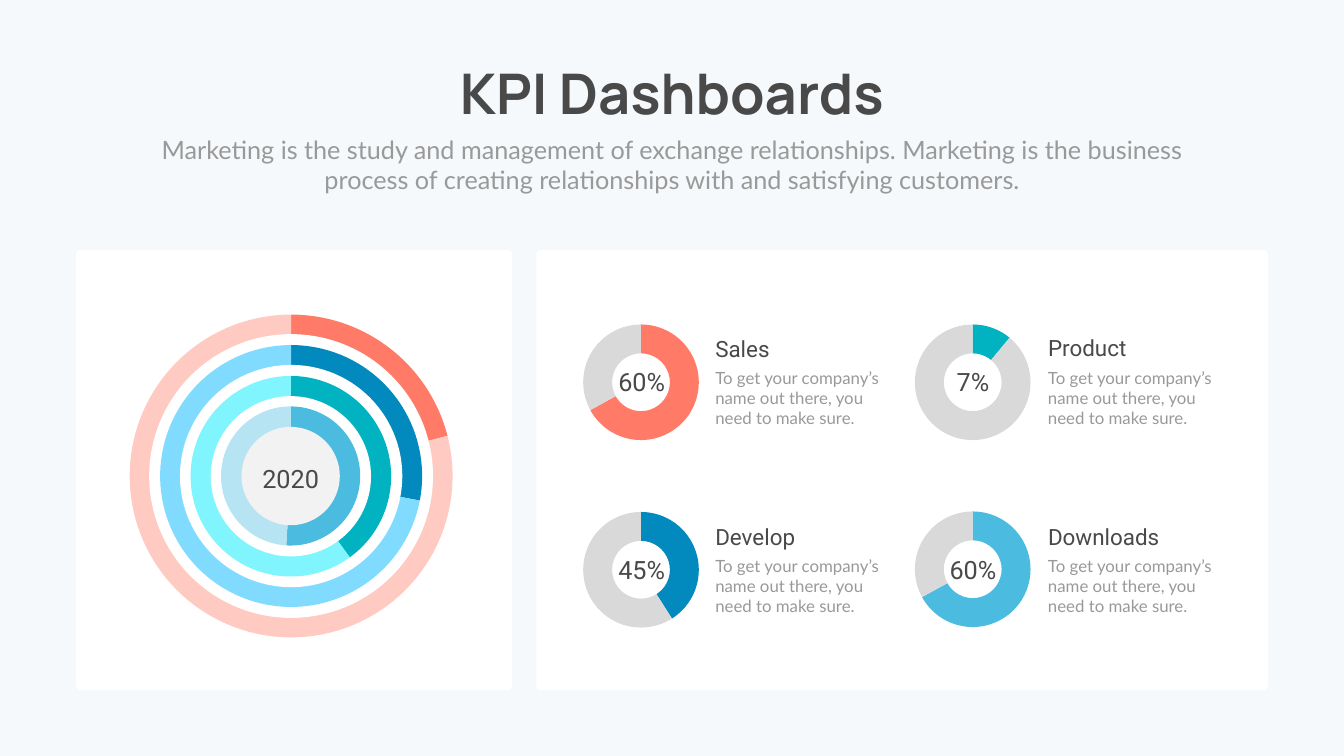
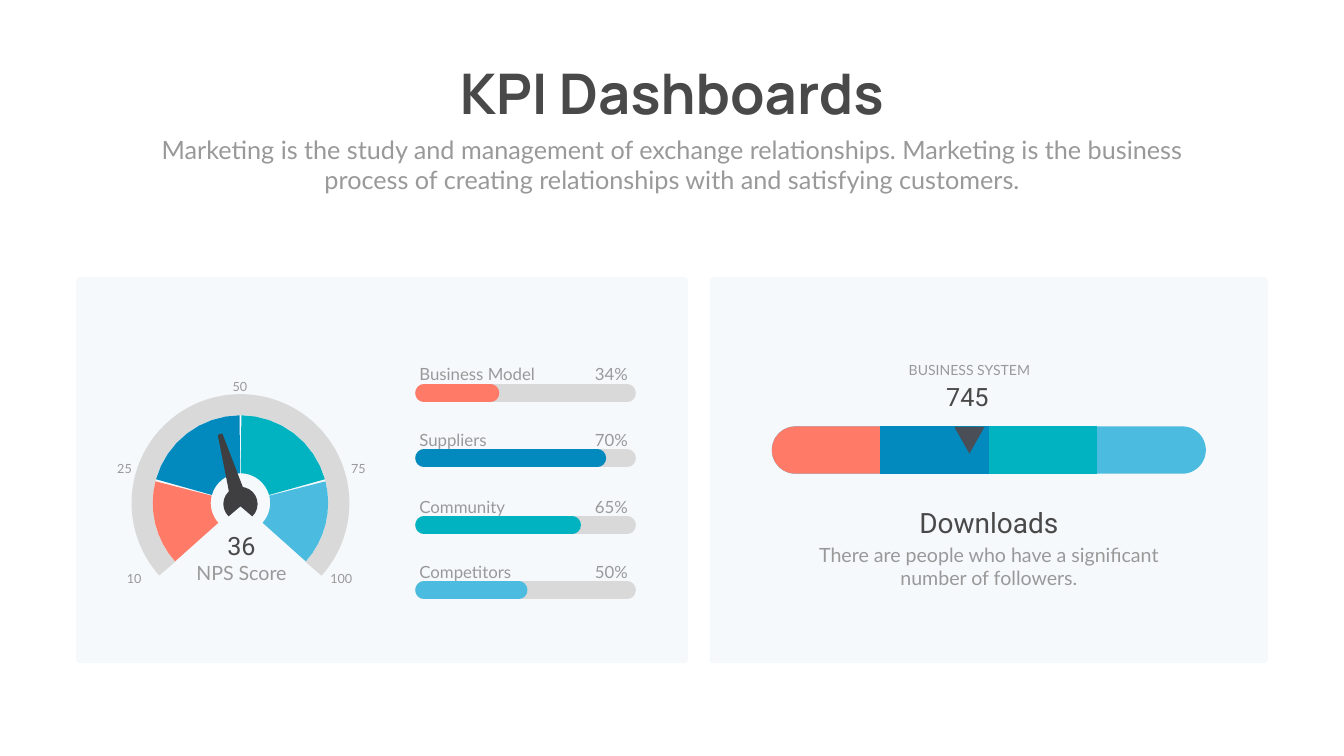
from math import cos, radians, sin

from lxml.etree import SubElement
from pptx import Presentation
from pptx.chart.data import CategoryChartData
from pptx.dml.color import RGBColor
from pptx.enum.chart import XL_CHART_TYPE
from pptx.enum.shapes import MSO_CONNECTOR, MSO_SHAPE
from pptx.enum.text import MSO_AUTO_SIZE, PP_ALIGN
from pptx.oxml import parse_xml
from pptx.oxml.ns import nsdecls, qn
from pptx.util import Inches, Pt

COLORS = {
    "dark": "494949", "muted": "999999", "mist": "F5F9FB", "white": "FFFFFF",
    "coral": "FF7A67", "blue": "0289BD", "teal": "01B2C0", "sky": "4BBBDF",
    "pale coral": "FFCAC2", "pale blue": "81DBFE", "pale teal": "81F5FE", "pale sky": "B7E4F2",
    "track": "D9D9D9", "core": "F2F2F2", "needle": "3F3E40", "marker": "4A4E57",
}
LEFT, CENTER, RIGHT = PP_ALIGN.LEFT, PP_ALIGN.CENTER, PP_ALIGN.RIGHT
LABEL_SPACING = Pt(40.8)
PIE_LAYOUT = (
    f'<c:layout {nsdecls("c")}><c:manualLayout><c:layoutTarget val="inner"/>'
    '<c:xMode val="edge"/><c:yMode val="edge"/><c:x val="0.005"/><c:y val="0.005"/>'
    '<c:w val="0.99"/><c:h val="0.99"/></c:manualLayout></c:layout>'
)


def paint(shape, color):
    shape.shadow.inherit = False
    shape.fill.solid()
    shape.fill.fore_color.rgb = RGBColor.from_string(COLORS[color])
    shape.line.fill.background()


def write(slide, text, left, top, width, height, size, font="Lato", color="muted",
          align=CENTER, spacing=None, bold=False, wrap=True):
    box = slide.shapes.add_textbox(Inches(left), Inches(top), Inches(width), Inches(height))
    frame = box.text_frame
    frame.word_wrap = wrap
    frame.auto_size = MSO_AUTO_SIZE.SHAPE_TO_FIT_TEXT
    paragraph = frame.paragraphs[0]
    paragraph.alignment = align
    if spacing:
        paragraph.line_spacing = spacing
    run = paragraph.add_run()
    run.text = text
    run.font.size = Pt(size)
    run.font.name = font
    run.font.bold = bold
    run.font.color.rgb = RGBColor.from_string(COLORS[color])


deck = Presentation()
deck.slide_width = Inches(26.66)
deck.slide_height = Inches(15)
blank = deck.slide_layouts[6]
rings = deck.slides.add_slide(blank)
gauges = deck.slides.add_slide(blank)

panels = [
    (rings, 0, 0, 26.66, 15, 0, "mist"),
    (rings, 10.64, 4.96, 14.51, 8.73, 0.01, "white"),
    (rings, 1.51, 4.96, 8.65, 8.73, 0.01, "white"),
    (gauges, 1.51, 5.5, 12.14, 7.66, 0.01, "mist"),
    (gauges, 14.08, 5.5, 11.07, 7.66, 0.01, "mist"),
    (gauges, 15.31, 8.46, 8.61, 0.94, 0.5, "sky"),
]
for slide, left, top, width, height, rounding, color in panels:
    panel = slide.shapes.add_shape(
        MSO_SHAPE.ROUNDED_RECTANGLE, Inches(left), Inches(top), Inches(width), Inches(height))
    panel.adjustments[0] = rounding
    paint(panel, color)

for slide in (rings, gauges):
    write(slide, "KPI Dashboards", 8.67, 1.12, 9.32, 1.45, 80, "Manrope", "dark", bold=True, wrap=False)
    write(slide, "Marketing is the study and management of exchange relationships. "
          "Marketing is the business process of creating relationships with and satisfying customers.",
          2.92, 2.61, 20.82, 1.31, 36)

PIE, DOUGHNUT = XL_CHART_TYPE.PIE, XL_CHART_TYPE.DOUGHNUT
charts = [
    (PIE, 2.54, 6.21, 6.47, 6.47, 21, "coral", "pale coral"),
    (PIE, 3.15, 6.82, 5.25, 5.25, 28, "blue", "pale blue"),
    (PIE, 3.76, 7.44, 4.02, 4.02, 40, "teal", "pale teal"),
    (PIE, 4.37, 8.05, 2.79, 2.79, 51, "sky", "pale sky"),
    (DOUGHNUT, 11.34, 6.3, 2.75, 2.57, 67, "coral", "track"),
    (DOUGHNUT, 11.34, 10.02, 2.75, 2.57, 41, "blue", "track"),
    (DOUGHNUT, 17.92, 6.3, 2.75, 2.57, 11, "teal", "track"),
    (DOUGHNUT, 17.92, 10.01, 2.75, 2.57, 67, "sky", "track"),
]
for kind, left, top, width, height, share, *slice_colors in charts:
    data = CategoryChartData()
    data.categories = ["1", "2"]
    data.add_series("Series 1", (share, 100 - share))
    chart = rings.shapes.add_chart(
        kind, Inches(left), Inches(top), Inches(width), Inches(height), data).chart
    chart.has_legend = False
    chart.has_title = False
    chart.font.size = Pt(10)
    chart.font.name = "Calibri"
    chart.font.color.rgb = RGBColor.from_string(COLORS["muted"])
    for index, color in enumerate(slice_colors):
        piece = chart.plots[0].series[0].points[index].format
        piece.fill.solid()
        piece.fill.fore_color.rgb = RGBColor.from_string(COLORS[color])
        piece.line.fill.background()
    if kind == DOUGHNUT:
        chart._chartSpace.xpath(".//c:holeSize")[0].set("val", "75")
        continue
    plot_area = chart._chartSpace.xpath(".//c:plotArea")[0]
    for layout in plot_area.findall(qn("c:layout")):
        plot_area.remove(layout)
    plot_area.insert(0, parse_xml(PIE_LAYOUT))
    core = rings.shapes.add_shape(
        MSO_SHAPE.OVAL, Inches(left + 0.42), Inches(top + 0.42),
        Inches(width - 0.84), Inches(height - 0.84))
    paint(core, "core" if slice_colors[0] == "sky" else "white")

write(rings, "2020", 5.06, 9.14, 1.41, 0.58, 36, "Roboto", "dark")
metrics = [
    ("Sales", "60%", 11.96, 7.22, 14.09, 6.6, 7.24),
    ("Develop", "45%", 11.96, 10.95, 14.09, 10.33, 10.97),
    ("Product", "7%", 18.53, 7.22, 20.69, 6.58, 7.24),
    ("Downloads", "60%", 18.53, 10.94, 20.69, 10.33, 10.97),
]
for name, percent, percent_left, percent_top, left, name_top, detail_top in metrics:
    write(rings, percent, percent_left, percent_top, 1.54, 0.71, 36, "Roboto", "dark")
    write(rings, name, left, name_top, 3.75, 0.64, 32, "Roboto", "dark", LEFT)
    write(rings, "To get your company’s name out there, you need to make sure.",
          left, detail_top, 3.57, 1.31, 24, align=LEFT)

progress = [
    ("Business Model", "34%", 7.8, 9.73, 7.01, "coral"),
    ("Suppliers", "70%", 9.09, 11.85, 8.32, "blue"),
    ("Community", "65%", 10.42, 11.35, 9.63, "teal"),
    ("Competitors", "50%", 11.71, 10.29, 10.92, "sky"),
]
for name, percent, y, reached, label_top, color in progress:
    for end, stroke in ((12.44, "track"), (reached, color)):
        bar = gauges.shapes.add_connector(
            MSO_CONNECTOR.STRAIGHT, Inches(8.41), Inches(y), Inches(end), Inches(y))
        bar.line.width = Pt(25)
        bar.line.color.rgb = RGBColor.from_string(COLORS[stroke])
        bar.line._get_or_add_ln().set("cap", "rnd")
        SubElement(bar._element.spPr, qn("a:effectLst"))
    write(gauges, name, 8.22, label_top, 2.63, 0.6, 24, align=LEFT, spacing=LABEL_SPACING)
    write(gauges, percent, 10.67, label_top, 1.88, 0.6, 24, align=RIGHT, spacing=LABEL_SPACING)

dial_x, dial_y, outer, inner = 4.77, 9.98, 1.74, 0.59
discs = [
    (MSO_SHAPE.DONUT, dial_y, 2.16, "track"),
    (MSO_SHAPE.OVAL, dial_y, outer, "mist"),
    (MSO_SHAPE.OVAL, 10, 0.34, "needle"),
]
for kind, center_y, radius, color in discs:
    disc = gauges.shapes.add_shape(
        kind, Inches(dial_x - radius), Inches(center_y - radius),
        Inches(2 * radius), Inches(2 * radius))
    if kind == MSO_SHAPE.DONUT:
        disc.adjustments[0] = 0.1
    paint(disc, color)

outlines = [([(2.61, 11.89), (4.77, 10.05), (6.92, 11.89), (4.77, 12.98)], "mist")]
sectors = [(0.6, 74.3, "teal"), (75.7, 131.8, "sky"),
           (-74.3, -0.6, "blue"), (-131.8, -75.7, "coral")]
for start, end, color in sectors:
    angles = [radians(start + (end - start) * step / 8) for step in range(9)]
    rim = [(dial_x + outer * sin(a), dial_y - outer * cos(a)) for a in angles]
    hollow = [(dial_x + inner * sin(a), dial_y - inner * cos(a)) for a in reversed(angles)]
    outlines.append((rim + hollow, color))
outlines.append(([(4.32, 8.63), (4.6, 10.05), (4.93, 9.96), (4.41, 8.6)], "needle"))

scale_top, scale_bottom, cap = 8.46, 9.4, 0.47
turns = [radians(angle) for angle in range(0, 181, 15)]
left_cap = [(15.78 - cap * sin(a), 8.93 + cap * cos(a)) for a in turns]
outlines.append((left_cap + [(19.61, scale_top), (19.61, scale_bottom)], "coral"))
for left, color in ((19.61, "teal"), (17.45, "blue")):
    right = left + 2.16
    outlines.append(([(left, scale_top), (right, scale_top),
                      (right, scale_bottom), (left, scale_bottom)], color))
outlines.append(([(19.23, 9), (19.53, 8.47), (18.93, 8.47)], "marker"))

for points, color in outlines:
    corners = [(Inches(x), Inches(y)) for x, y in points]
    builder = gauges.shapes.build_freeform(*corners[0])
    builder.add_line_segments(corners[1:], close=True)
    paint(builder.convert_to_shape(), color)

ticks = [("10", 2.31, 11.01), ("100", 6.42, 11.01), ("75", 6.76, 8.83),
         ("25", 2.12, 8.83), ("50", 4.41, 7.2)]
for tick, left, top in ticks:
    write(gauges, tick, left, top, 0.7, 0.59, 18, spacing=LABEL_SPACING)
write(gauges, "36", 3.77, 10.48, 2.04, 0.71, 36, "Roboto", "dark")
write(gauges, "NPS Score", 2.61, 10.98, 4.36, 0.62, 28, spacing=LABEL_SPACING)

write(gauges, "There are people who have a significant number of followers.",
      15.98, 10.72, 7.27, 1.04, 28)
write(gauges, "Downloads", 15.98, 9.98, 7.27, 0.77, 40, "Roboto", "dark")
write(gauges, "745", 18.17, 7.51, 2.04, 0.71, 36, "Roboto", "dark")
write(gauges, "BUSINESS SYSTEM", 17.43, 6.89, 3.6, 0.59, 20, spacing=LABEL_SPACING)

deck.save("out.pptx")
